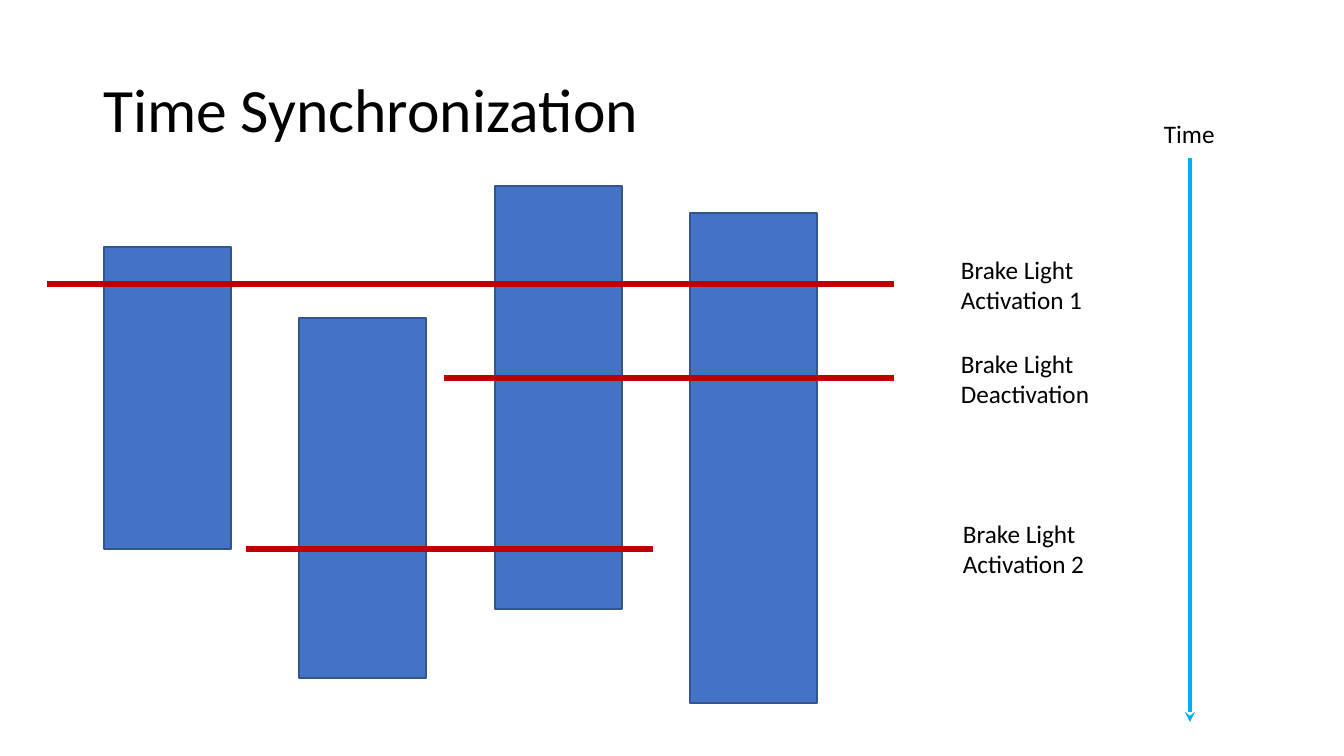
import pptx
import pptx.util
import pptx.dml.color
import pptx.enum.shapes
import pptx.enum.text
import pptx.oxml.ns
import lxml.etree

SCALE = 914400 / 100.8  # EMU per pixel


def px(*lengths):
    return [pptx.util.Emu(round(length * SCALE)) for length in lengths]


def color(hex_string):
    return pptx.dml.color.RGBColor.from_string(hex_string)


presentation = pptx.Presentation()
presentation.slide_width, presentation.slide_height = px(1344, 756)
slide = presentation.slides.add_slide(presentation.slide_layouts[5])

# Title
title = slide.shapes.title
title.left, title.top, title.width, title.height = px(93, 40, 1159, 146)
title.text_frame.text = "Time Synchronization"
title.text_frame.vertical_anchor = pptx.enum.text.MSO_ANCHOR.MIDDLE
title.text_frame.paragraphs[0].alignment = pptx.enum.text.PP_ALIGN.LEFT
title.text_frame.paragraphs[0].line_spacing = 0.9

# Recording bars: top and height, evenly spaced
recordings = [(247, 302), (318, 360), (186, 423), (213, 490)]
for index, (top, height) in enumerate(recordings):
    left = 104 + index * 391 // 2
    bar = slide.shapes.add_shape(
        pptx.enum.shapes.MSO_SHAPE.RECTANGLE, *px(left, top, 127, height))
    bar.shadow.inherit = False
    bar.fill.solid()
    bar.fill.fore_color.rgb = color("4472C4")
    bar.line.color.rgb = color("325491")
    bar.line.width = pptx.util.Pt(1)

# Event lines and time axis: start x, start y, end x, end y, colour, width
lines = [
    (47, 284, 894, 284, "C00000", 3.75),
    (444, 378, 894, 378, "C00000", 3.75),
    (246, 549, 653, 549, "C00000", 3.75),
    (1190, 158, 1190, 722, "00B0F0", 2.5),
]
for *ends, line_color, width in lines:
    connector = slide.shapes.add_connector(
        pptx.enum.shapes.MSO_CONNECTOR.STRAIGHT, *px(*ends))
    connector.line.color.rgb = color(line_color)
    connector.line.width = pptx.util.Pt(width)
    lxml.etree.SubElement(
        connector._element.spPr, pptx.oxml.ns.qn("a:effectLst"))

# Arrowhead on the time axis, the last line drawn
lxml.etree.SubElement(
    connector.line._get_or_add_ln(), pptx.oxml.ns.qn("a:tailEnd"), type="stealth")

# Labels
labels = [
    ("Brake Light Activation 1", 951, 249, 152, 72),
    ("Brake Light Deactivation", 951, 343, 152, 72),
    ("Brake Light Activation 2", 953, 513, 152, 72),
    ("Time", 1154, 113, 122, 40),
]
text_sizes = [(title, 44)]
for text, *box in labels:
    label = slide.shapes.add_textbox(*px(*box))
    label.text_frame.word_wrap = True
    label.text_frame.text = text
    text_sizes.append((label, 18))

# Fonts
for shape, size in text_sizes:
    font = shape.text_frame.paragraphs[0].runs[0].font
    font.name = "Calibri"
    font.size = pptx.util.Pt(size)
    font.color.rgb = color("000000")

presentation.save("out.pptx")
